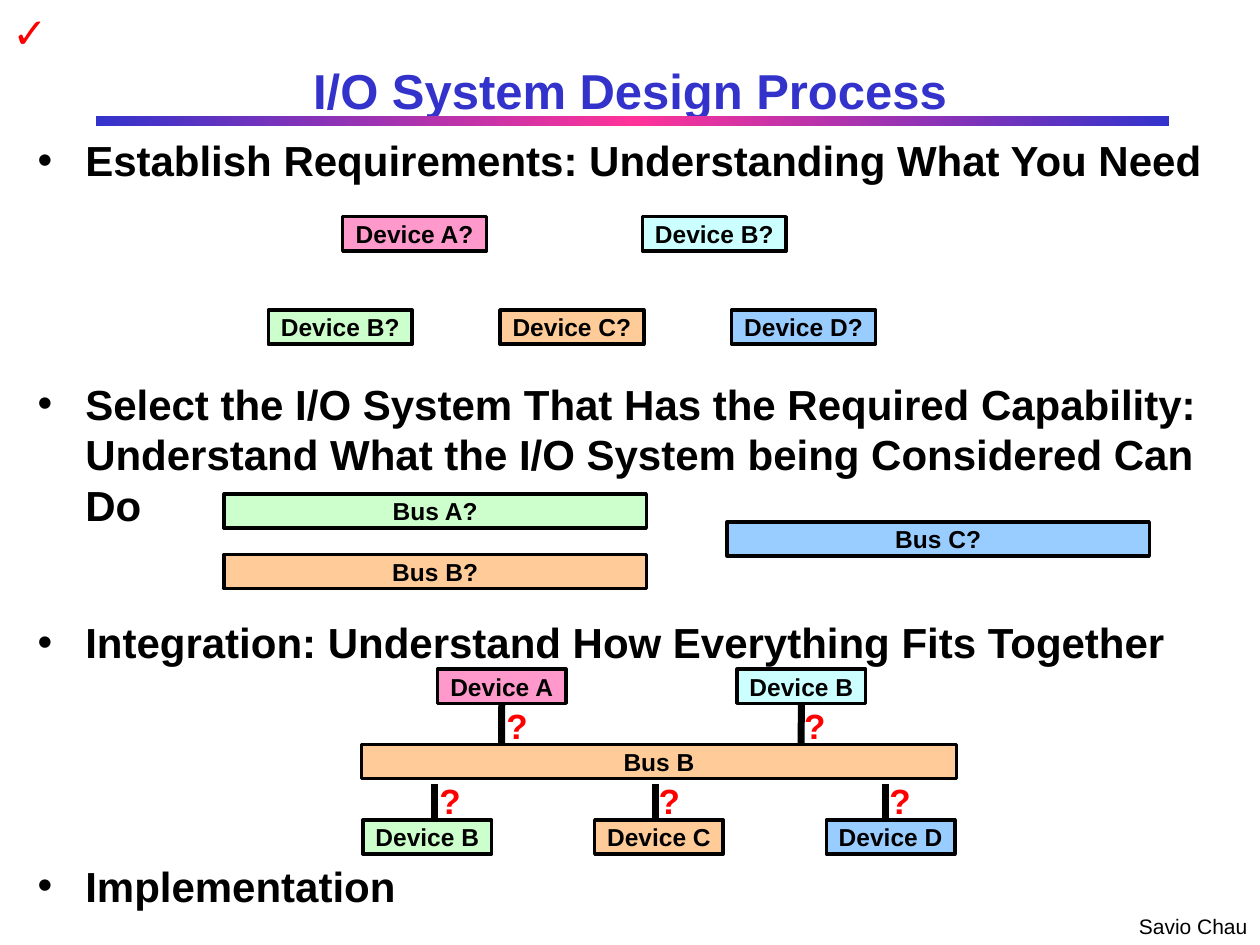
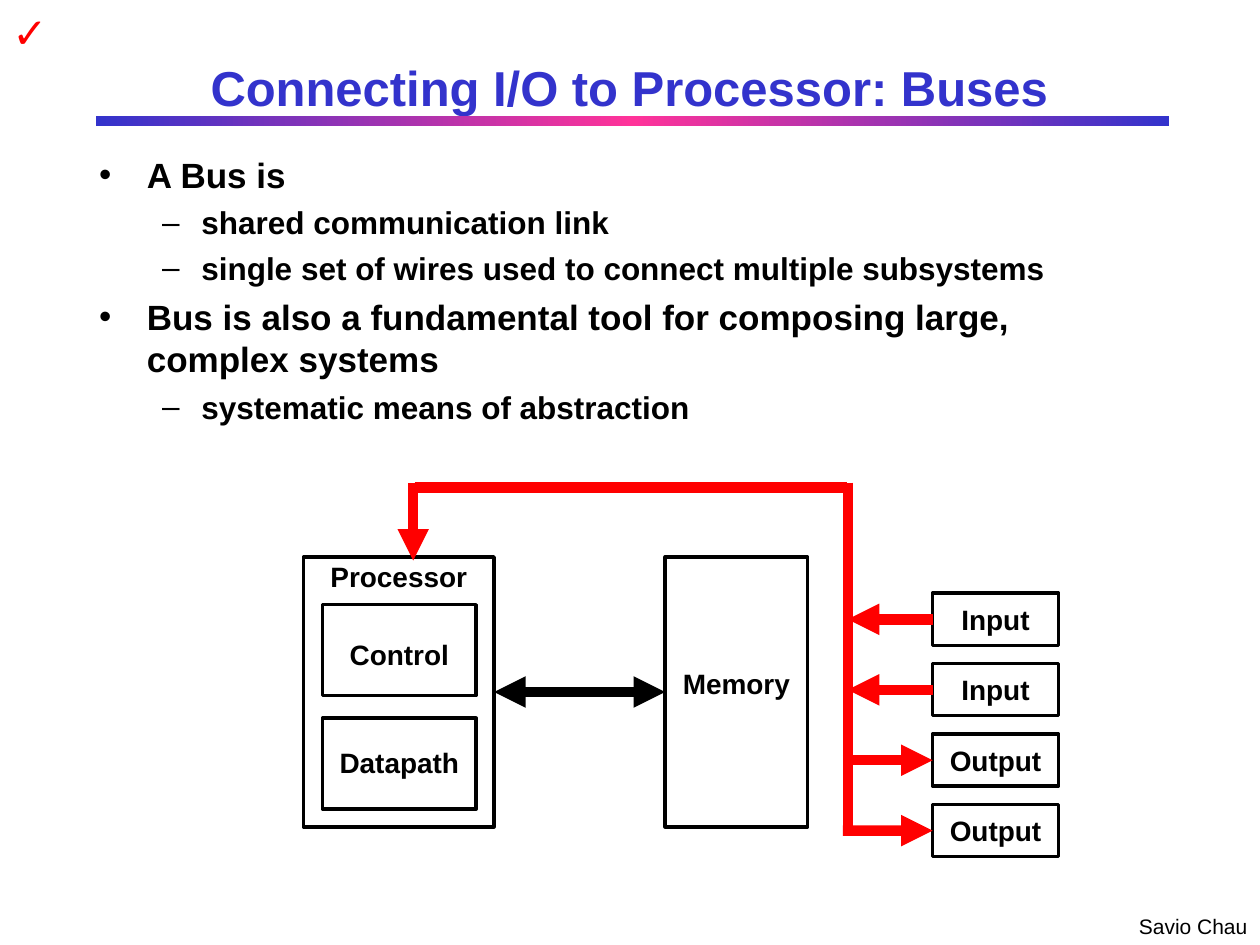
from copy import deepcopy
from dataclasses import dataclass

from lxml import etree
from pptx import Presentation
from pptx import util as u
from pptx.dml.color import RGBColor
from pptx.enum import shapes, text
from pptx.oxml import ns

Cm, Pt = u.Cm, u.Pt
CENTER, LEFT = text.PP_ALIGN.CENTER, text.PP_ALIGN.LEFT
TOP, BOTTOM, SIDE_LEFT, SIDE_RIGHT = 0, 2, 1, 3


@dataclass(frozen=True)
class Theme:
    font: str = "Arial"
    ink: str = "000000"
    title: str = "3333CC"
    accent: str = "FF3399"
    red: str = "FF0000"
    pink: str = "FF99CC"
    cyan: str = "CCFFFF"
    green: str = "CCFFCC"
    orange: str = "FFCC99"
    blue: str = "99CCFF"
    title_size: int = 28
    check_size: int = 24
    query_size: int = 20
    block_size: int = 16
    device_size: int = 14
    footer_size: int = 12
    outline: int = 2
    stub: int = 4
    bus: int = 6


THEME = Theme()
# Per outline level: bullet, left margin and hanging indent in cm
BULLETS = (("•", 0.96, 0.96), ("–", 2.06, 0.79))


def sub(parent, tag, **attributes):
    return etree.SubElement(parent, ns.qn(tag), attributes)


class Deck:
    """Holds the theme and the slide being drawn; lengths are in cm."""

    def __init__(self, theme):
        self.theme = theme
        self.prs = Presentation()
        self.prs.slide_width, self.prs.slide_height = Cm(25.4), Cm(19.05)
        self.slide = None

    def style(self, paragraph, size, color=None, bold=True, align=LEFT):
        paragraph.alignment = align
        for run in paragraph.runs:
            run.font.name = self.theme.font
            run.font.size = Pt(size)
            run.font.bold = bold
            run.font.color.rgb = RGBColor.from_string(color or self.theme.ink)

    def new_slide(self, title, box):
        self.slide = self.prs.slides.add_slide(self.prs.slide_layouts[5])
        self.band()
        self.label("Savio Chau", (22.71, 18.29, 2.69, 0.76),
                   self.theme.footer_size, bold=False)
        heading = self.slide.shapes.title
        heading.left, heading.top, heading.width, heading.height = map(Cm, box)
        frame = heading.text_frame
        frame.text = title
        frame.auto_size = text.MSO_AUTO_SIZE.NONE
        frame.vertical_anchor = text.MSO_ANCHOR.MIDDLE
        self.style(frame.paragraphs[0], self.theme.title_size,
                   self.theme.title, align=CENTER)
        self.label("✓", (0, 0, 1.19, 1.27), self.theme.check_size,
                   self.theme.red)

    def band(self):
        """Draw the three-stop gradient rule under the title."""
        rule = self.rect((1.93, 2.34, 21.64, 0.2))
        rule.line.fill.background()
        rule.fill.gradient()
        rule.fill.gradient_angle = 0
        first_stop = next(rule._element.iter(ns.qn("a:gs")))
        first_stop.addnext(deepcopy(first_stop))
        colors = (self.theme.title, self.theme.accent, self.theme.title)
        for stop, place, color in zip(rule.fill.gradient_stops,
                                      (0, 0.5, 1), colors):
            stop.position = place
            stop.color.rgb = RGBColor.from_string(color)

    def rect(self, box, fill=None):
        shape = self.slide.shapes.add_shape(shapes.MSO_SHAPE.RECTANGLE,
                                            *map(Cm, box))
        shape.shadow.inherit = False
        if fill:
            shape.fill.solid()
            shape.fill.fore_color.rgb = RGBColor.from_string(fill)
        else:
            shape.fill.background()
        shape.line.color.rgb = RGBColor.from_string(self.theme.ink)
        shape.line.width = Pt(self.theme.outline)
        return shape

    def bar(self, name, box, fill):
        """Draw a filled rectangle with its name inside."""
        shape = self.rect(box, fill)
        frame = shape.text_frame
        frame.text = name
        frame.word_wrap = False
        frame.vertical_anchor = text.MSO_ANCHOR.MIDDLE
        frame.margin_top = frame.margin_bottom = Cm(0.05)
        self.style(frame.paragraphs[0], self.theme.device_size, align=CENTER)
        return shape

    def block(self, name, box, label_drop):
        """Draw an open rectangle with a label this far below its top."""
        shape = self.rect(box)
        left, top, width, _ = box
        self.label(name, (left, top + label_drop, width, 0.91),
                   self.theme.block_size, align=CENTER, wrap=True)
        return shape

    def label(self, words, box, size, color=None, bold=True, align=LEFT,
              wrap=False, inset=True):
        frame = self.slide.shapes.add_textbox(*map(Cm, box)).text_frame
        frame.text = words
        frame.word_wrap = wrap
        if not inset:
            frame.margin_left = frame.margin_right = 0
            frame.margin_top = frame.margin_bottom = 0
        self.style(frame.paragraphs[0], size, color, bold, align)

    def outline(self, items, box):
        """Write bullets given as (level, size, space before, words)."""
        frame = self.slide.shapes.add_textbox(*map(Cm, box)).text_frame
        frame.word_wrap = True
        for index, (level, size, before, words) in enumerate(items):
            paragraph = frame.add_paragraph() if index else frame.paragraphs[0]
            paragraph.text = words
            paragraph.level = level
            paragraph.line_spacing = Pt(size * 1.2)
            paragraph.space_before = Pt(before)
            self.style(paragraph, size)
            mark, margin, hanging = BULLETS[level]
            props = paragraph._p.get_or_add_pPr()
            props.set("marL", str(Cm(margin)))
            props.set("indent", str(-Cm(hanging)))
            sub(sub(props, "a:buClr"), "a:srgbClr", val=self.theme.ink)
            sub(props, "a:buFont", typeface=self.theme.font)
            sub(props, "a:buChar", char=mark)

    def line(self, start, end, color, width, arrows=()):
        """Draw a line; arrows names its pointed ends, headEnd first."""
        link = self.slide.shapes.add_connector(
            shapes.MSO_CONNECTOR.STRAIGHT, *map(Cm, start + end))
        link.line.color.rgb = RGBColor.from_string(color)
        link.line.width = Pt(width)
        for arrow in arrows:
            sub(link.line._get_or_add_ln(), f"a:{arrow}", type="triangle")
        sub(link._element.spPr, "a:effectLst")
        return link


def add_devices(deck, suffix, shift, width, upper_top, lower_top):
    """Draw two devices above three others and return the shapes."""
    t = deck.theme
    upper_left, upper_pitch = 6.91 + shift, 6.04
    lower_left, lower_pitch = 5.41 + shift, 4.67
    upper = [deck.bar(f"Device {letter}{suffix}",
                      (upper_left + i * upper_pitch, upper_top, width, 0.69),
                      fill)
             for i, (letter, fill) in enumerate(zip("AB", (t.pink, t.cyan)))]
    lower = [deck.bar(f"Device {letter}{suffix}",
                      (lower_left + i * lower_pitch, lower_top, width, 0.69),
                      fill)
             for i, (letter, fill) in enumerate(
                 zip("BCD", (t.green, t.orange, t.blue)))]
    return upper, lower


def design_process(deck):
    t = deck.theme
    deck.new_slide("I/O System Design Process", (1.9, 1.07, 21.6, 1.47))
    # The larger gaps leave room for the diagrams between the bullets
    deck.outline((
        (0, 24, 6, "Establish Requirements: Understanding What You Need"),
        (0, 24, 110.4, "Select the I/O System That Has the Required "
         "Capability: Understand What the I/O System being Considered Can Do"),
        (0, 24, 49.8, "Integration: Understand How Everything Fits Together"),
        (0, 24, 110.4, "Implementation"),
    ), (0.51, 2.59, 24.38, 15.77))

    add_devices(deck, "?", 0, 2.9, 4.37, 6.25)
    for name, left, top, fill in (("Bus A?", 4.52, 9.96, t.green),
                                  ("Bus B?", 4.52, 11.18, t.orange),
                                  ("Bus C?", 14.66, 10.52, t.blue)):
        deck.bar(name, (left, top, 8.51, 0.69), fill)

    upper, _ = add_devices(deck, "", 1.91, 2.59, 13.49, 16.53)
    deck.bar("Bus B", (7.29, 15.01, 11.99, 0.69), t.orange)
    for device, stub_x in zip(upper, (10.11, 16.15)):
        stub = deck.line((stub_x, 14.18), (stub_x, 15.01), t.ink, t.stub)
        stub.begin_connect(device, BOTTOM)
    for stub_x in (8.76, 13.21, 17.86):
        deck.line((stub_x, 15.8), (stub_x, 16.53), t.ink, t.stub)
    for left, top in ((10.21, 14.2), (16.21, 14.2),
                      (8.86, 15.72), (13.28, 15.72), (17.93, 15.72)):
        deck.label("?", (left, top, 0.43, 0.84), t.query_size, t.red,
                   inset=False)


def connecting_buses(deck):
    t = deck.theme
    deck.new_slide("Connecting I/O to Processor: Buses",
                   (3.2, 1.17, 18.97, 1.17))
    deck.outline((
        (0, 20, 5, "A Bus is"),
        (1, 18, 4.5, "shared communication link"),
        (1, 18, 4.5, "single set of wires used to connect multiple "
         "subsystems"),
        (0, 20, 5, "Bus is also a fundamental tool for composing large, "
         "complex systems"),
        (1, 18, 4.5, "systematic means of abstraction"),
    ), (1.75, 2.97, 21.87, 14.4))

    deck.block("Control", (6.5, 12.19, 3.1, 1.83), 0.54)
    deck.block("Datapath", (6.5, 14.48, 3.1, 1.83), 0.43)
    memory = deck.block("Memory", (13.41, 11.23, 2.87, 5.44), 2.08)
    processor = deck.block("Processor", (6.12, 11.23, 3.84, 5.44), -0.08)
    memory_link = deck.line((9.96, 13.95), (13.41, 13.95), t.ink, t.bus,
                            ("headEnd", "tailEnd"))
    memory_link.begin_connect(processor, SIDE_RIGHT)
    memory_link.end_connect(memory, SIDE_LEFT)

    trunk_x, trunk_top = 17.09, 9.73
    deck.line((8.36, 9.83), (17.07, 9.83), t.red, t.bus)
    deck.line((8.33, trunk_top), (8.33, 11.3), t.red, t.bus, ("tailEnd",))
    deck.line((trunk_x, trunk_top), (trunk_x, 16.81), t.red, t.bus)

    top, height, pitch = 11.96, 1.05, 1.42
    for row, name in enumerate(("Input", "Input", "Output", "Output")):
        port_top = top + row * pitch
        port = deck.block(name, (18.8, port_top, 2.54, height), 0.06)
        middle = port_top + height / 2
        is_input = name == "Input"
        start_x = trunk_x if is_input else trunk_x - 0.1
        branch = deck.line((start_x, middle), (18.8, middle), t.red, t.bus,
                           ("headEnd" if is_input else "tailEnd",))
        branch.end_connect(port, SIDE_LEFT)


def main():
    deck = Deck(THEME)
    design_process(deck)
    connecting_buses(deck)
    deck.prs.save("out.pptx")


if __name__ == "__main__":
    main()
